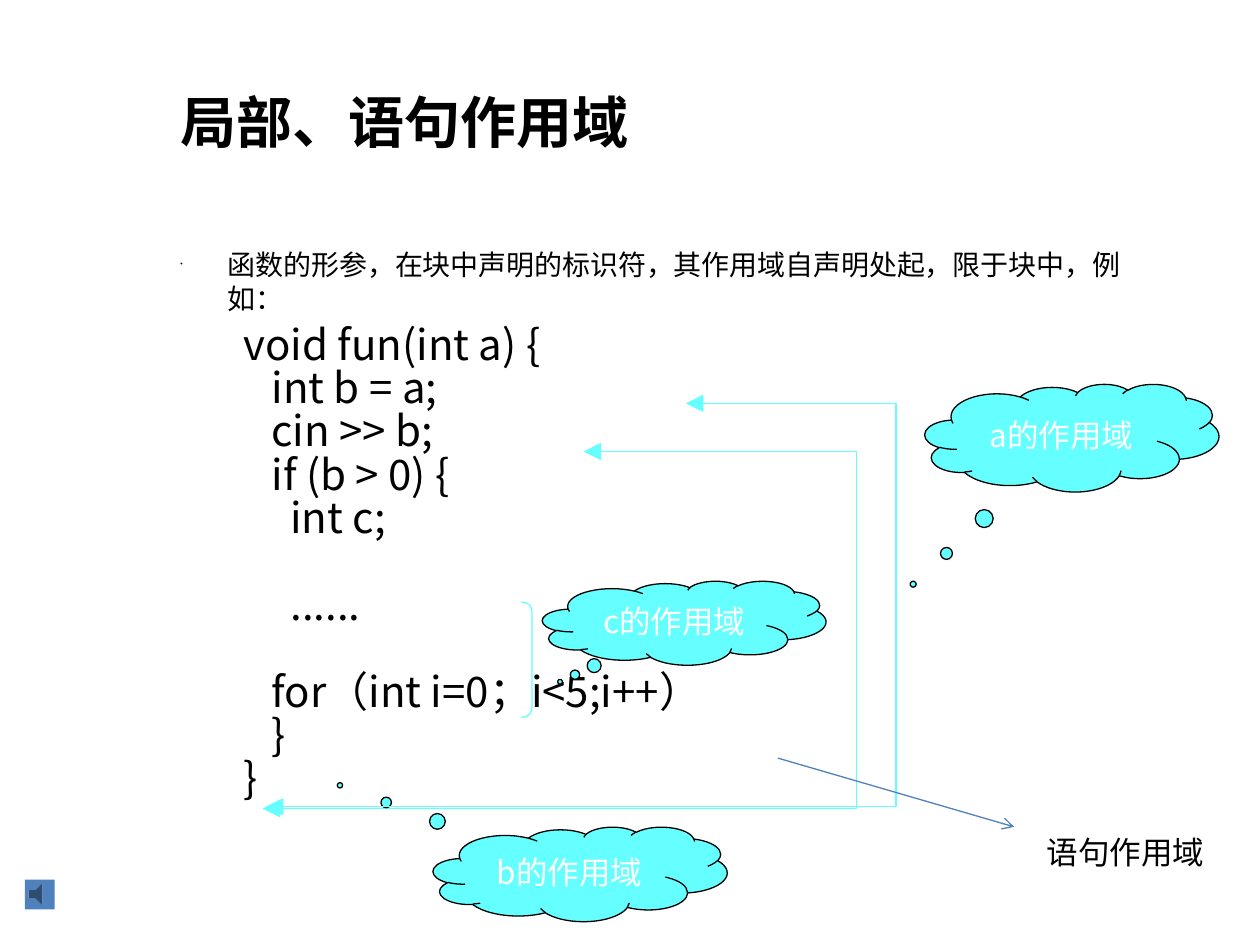
from lxml import etree
from pptx import Presentation
from pptx import util as u
from pptx.dml.color import RGBColor
from pptx.enum import shapes, text
from pptx.oxml.ns import qn

Pt = u.Pt
SHAPE = shapes.MSO_SHAPE
BLACK = RGBColor(0, 0, 0)
WHITE = RGBColor(0xFF, 0xFF, 0xFF)
CYAN = RGBColor(0x66, 0xFF, 0xFF)
BLUE = RGBColor(0x4F, 0x81, 0xBD)
LATIN, CJK = "Calibri", "Noto Sans CJK SC"
LINE_W = Pt(0.75)

# Each code line with its space before; a larger one leaves an empty line
CODE = [
    ("void fun(int a) {", 6),
    ("   int b = a;", 6),
    ("   cin >> b;", 6),
    ("   if (b > 0) {", 6),
    ("     int c;", 6),
    ("     ......", 31),
    ("   for（int i=0；i<5;i++）", 31),
    ("   }", 6),
    ("}", 6),
]


def apply(obj, **values):
    for name, value in values.items():
        setattr(obj, name, value)


def add_run(p, words, font, size, color, bold=False):
    r = p.add_run()
    r.text = words
    apply(r.font, name=font, size=Pt(size), bold=bold)
    r.font.color.rgb = color
    ea = etree.SubElement(r._r.get_or_add_rPr(), qn("a:ea"))
    ea.set("typeface", CJK)


def add_box(s, box, wrap=True, anchor=text.MSO_ANCHOR.TOP):
    tf = s.shapes.add_textbox(*map(Pt, box)).text_frame
    apply(tf, word_wrap=wrap, vertical_anchor=anchor)
    return tf


def style_line(sp, color):
    sp.line.color.rgb = color
    sp.line.width = LINE_W


def add_arrowheads(sp, size, **ends):
    ln = sp.line._get_or_add_ln()
    for end, kind in ends.items():
        head = etree.SubElement(ln, qn("a:" + end))
        for key, value in (("type", kind), ("w", size), ("len", size)):
            head.set(key, value)


def title(s, box):
    tf = add_box(s, box, anchor=text.MSO_ANCHOR.MIDDLE)
    add_run(tf.paragraphs[0], "局部、语句作用域", LATIN, 32, BLACK, True)


def indent(p, left, first):
    pPr = p._p.get_or_add_pPr()
    pPr.set("marL", str(Pt(left)))
    pPr.set("indent", str(Pt(first)))
    # Punctuation stays inside the text area, so the rule takes two lines
    pPr.set("hangingPunct", "0")
    return pPr


def body(s, box):
    tf = add_box(s, box)
    # Bulleted rule
    p = tf.paragraphs[0]
    p.space_after = Pt(5)
    pPr = indent(p, 27, -27)
    etree.SubElement(pPr, qn("a:buSzPct")).set("val", "25000")
    etree.SubElement(pPr, qn("a:buChar")).set("char", "•")
    add_run(p, "函数的形参，在块中声明的标识符，其作用域自声明处起，限于块中，例如：",
            CJK, 16, BLACK)
    # Code sample
    for line, before in CODE:
        p = tf.add_paragraph()
        apply(p, line_spacing=0.65, space_before=Pt(before))
        indent(p, 58.5, -22.5)
        add_run(p, line, CJK, 24, BLACK)


def cloud(s, box, words, dx, dy):
    sp = s.shapes.add_shape(SHAPE.CLOUD_CALLOUT, *map(Pt, box))
    sp.shadow.inherit = False
    sp.adjustments[0], sp.adjustments[1] = dx, dy
    sp.fill.solid()
    sp.fill.fore_color.rgb = CYAN
    style_line(sp, BLACK)
    tf = sp.text_frame
    apply(tf, word_wrap=False, vertical_anchor=text.MSO_ANCHOR.MIDDLE)
    p = tf.paragraphs[0]
    p.alignment = text.PP_ALIGN.CENTER
    add_run(p, words, CJK, 18, WHITE)


def scope_path(s, box, start):
    """Arrow from the declaration, round the right side, to the block's end."""
    left, top, width, height = box
    right, bottom = left + width, top + height
    fb = s.shapes.build_freeform(Pt(start), Pt(top))
    corners = [(right, top), (right, bottom), (left, bottom)]
    fb.add_line_segments([(Pt(x), Pt(y)) for x, y in corners], close=False)
    sp = fb.convert_to_shape()
    sp.shadow.inherit = False
    sp.fill.background()
    style_line(sp, CYAN)
    add_arrowheads(sp, "lg", headEnd="triangle", tailEnd="triangle")


def bracket(s, box):
    sp = s.shapes.add_shape(SHAPE.RIGHT_BRACKET, *map(Pt, box))
    sp.shadow.inherit = False
    sp.adjustments[0] = 0.85
    sp.fill.background()
    style_line(sp, CYAN)


def sound_button(s, box):
    sp = s.shapes.add_shape(SHAPE.ACTION_BUTTON_SOUND, *map(Pt, box))
    sp.shadow.inherit = False
    sp.fill.solid()
    sp.fill.fore_color.rgb = BLUE
    sp.line.fill.background()


def statement_scope(s, box, start, end):
    cx = s.shapes.add_connector(shapes.MSO_CONNECTOR.STRAIGHT,
                                *map(Pt, start + end))
    style_line(cx, BLUE)
    add_arrowheads(cx, "med", tailEnd="arrow")
    etree.SubElement(cx._element.spPr, qn("a:effectLst"))
    tf = add_box(s, box, wrap=False)
    add_run(tf.paragraphs[0], "语句作用域", LATIN, 18, BLACK)


def main():
    prs = Presentation()
    apply(prs, slide_width=Pt(720), slide_height=Pt(540))
    s = prs.slides.add_slide(prs.slide_layouts[6])
    title(s, (96, 36, 570, 66))
    body(s, (96, 138, 570, 360))
    # Scope of c
    cloud(s, (310, 332, 162, 48), "c的作用域", -0.438, 0.7)
    bracket(s, (298, 344, 6, 66))
    # Scope of b
    scope_path(s, (150, 258, 339.5, 204), 333.5)
    cloud(s, (247.5, 472.5, 168, 54), "b的作用域", -0.817, -0.94)
    sound_button(s, (14.2, 502.6, 17, 17))
    # Scope of a
    scope_path(s, (152, 230.5, 360, 230.5), 392)
    cloud(s, (528.5, 219.5, 168, 61.5), "a的作用域", -0.54, 1.359)
    statement_scope(s, (591, 472.5, 104.5, 29), (444.5, 433.2), (579.5, 472.5))
    prs.save("out.pptx")


if __name__ == "__main__":
    main()
